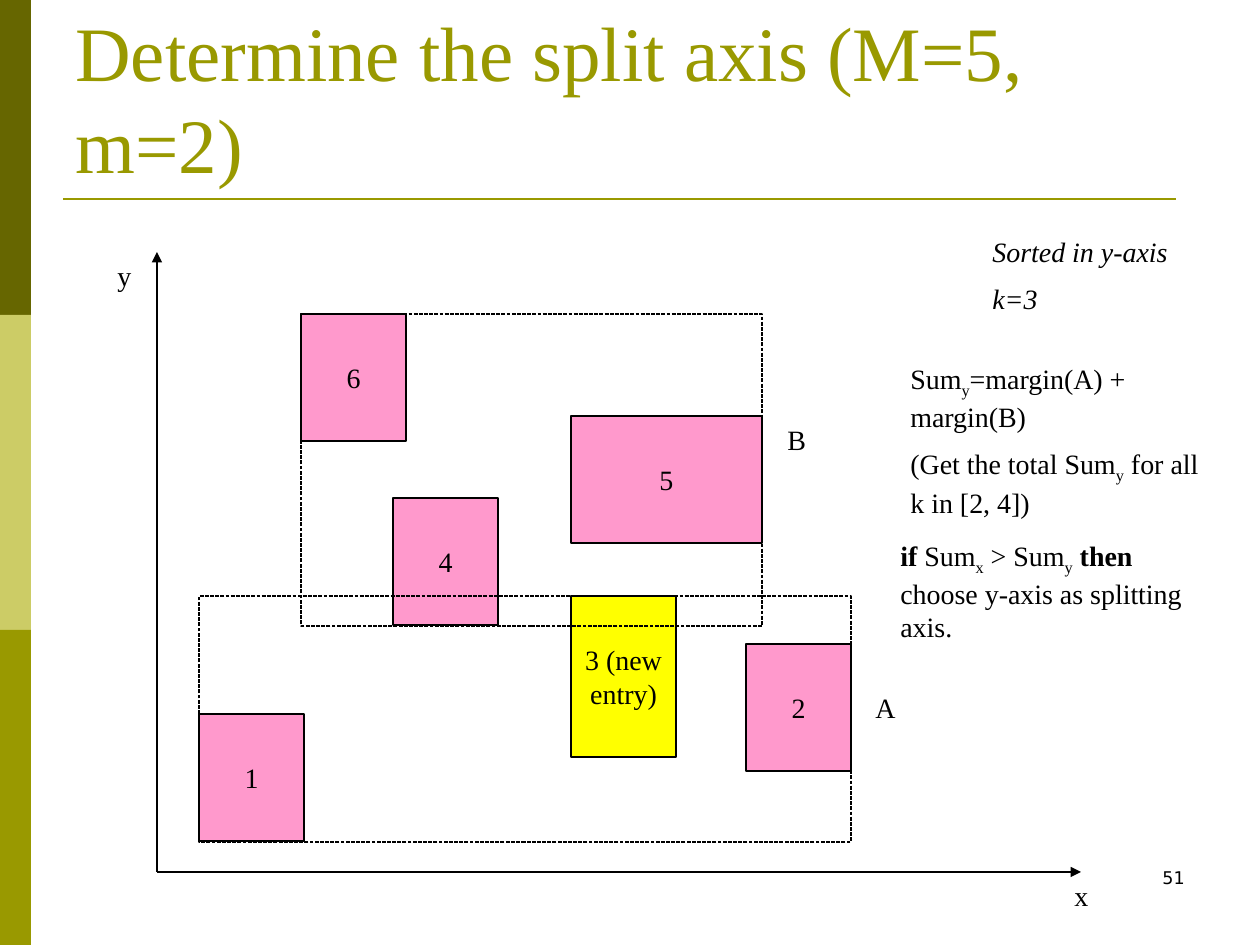
from lxml import etree
from pptx import Presentation
from pptx.dml.color import RGBColor
from pptx.enum.dml import MSO_LINE
from pptx.enum.shapes import MSO_CONNECTOR, MSO_SHAPE
from pptx.enum.text import MSO_ANCHOR, PP_ALIGN
from pptx.oxml.ns import qn
from pptx.util import Pt

EMU_PER_PX = 914400 / 126
RECTANGLE = MSO_SHAPE.RECTANGLE
STRAIGHT = MSO_CONNECTOR.STRAIGHT
DASHED = MSO_LINE.SQUARE_DOT
LEFT, CENTER, RIGHT = PP_ALIGN.LEFT, PP_ALIGN.CENTER, PP_ALIGN.RIGHT
TOP, MIDDLE, BOTTOM = MSO_ANCHOR.TOP, MSO_ANCHOR.MIDDLE, MSO_ANCHOR.BOTTOM

COLORS = {
    "dark olive": "666600", "pale olive": "CCCC66", "olive": "999900",
    "black": "000000", "entry": "FF99CC", "new entry": "FFFF00",
}
BODY = {"name": "Times New Roman", "size": Pt(16)}
TITLE = {"name": "Times New Roman", "size": Pt(44)}
NUMBER = {"name": "DejaVu Sans", "size": Pt(10)}
PLAIN, BOLD, ITALIC, SUBSCRIPT = {}, {"bold": True}, {"italic": True}, {"subscript": True}


def px(*lengths):
    """Turn pixel lengths into EMU."""
    return [round(length * EMU_PER_PX) for length in lengths]


def color(name):
    """Look up a named colour."""
    return RGBColor.from_string(COLORS[name])


def write(shape, paragraphs, font=BODY, ink="black", align=LEFT, anchor=TOP, wrap=True):
    """Fill a shape with paragraphs made of (text, format) runs."""
    frame = shape.text_frame
    frame.word_wrap, frame.vertical_anchor = wrap, anchor
    for index, runs in enumerate(paragraphs):
        paragraph = frame.add_paragraph() if index else frame.paragraphs[0]
        paragraph.alignment = align
        paragraph.space_before = Pt(8 if index else 0)
        for text, style in runs:
            run = paragraph.add_run()
            run.text = text
            run.font.color.rgb = color(ink)
            values = {**font, **style}
            if values.pop("subscript", False):
                run._r.get_or_add_rPr().set("baseline", "-25000")
            for attribute, value in values.items():
                setattr(run.font, attribute, value)


def add_text(slide, box, paragraphs, **options):
    """Add a text box."""
    write(slide.shapes.add_textbox(*px(*box)), paragraphs, **options)


def add_rectangle(slide, box, fill=None, outline=None, dash=None):
    """Add a rectangle with an optional fill and outline."""
    shape = slide.shapes.add_shape(RECTANGLE, *px(*box))
    shape.shadow.inherit = False
    if fill:
        shape.fill.solid()
        shape.fill.fore_color.rgb = color(fill)
    else:
        shape.fill.background()
    if outline:
        shape.line.color.rgb = color(outline)
        shape.line.width = Pt(0.75)
        shape.line.dash_style = dash
    else:
        shape.line.fill.background()
    return shape


def add_line(slide, ends, ink, width, arrow=False):
    """Add a straight line, with an optional arrowhead at its start."""
    connector = slide.shapes.add_connector(STRAIGHT, *px(*ends))
    connector.line.color.rgb = color(ink)
    connector.line.width = Pt(width)
    if arrow:
        etree.SubElement(connector.line._get_or_add_ln(), qn("a:headEnd"), type="triangle")
    etree.SubElement(connector._element.spPr, qn("a:effectLst"))


def add_sidebar(slide, left, top, width, height):
    """Stack three equal colour bands."""
    bands = ("dark olive", "pale olive", "olive")
    band = height // len(bands)
    for index, fill in enumerate(bands):
        add_rectangle(slide, (left, top + index * band, width, band), fill)


def add_title(slide, left, top, width, height):
    """Place the title above its rule."""
    rule = top + height + 4
    add_line(slide, (left, rule, left + 1113, rule), "olive", 1.5)
    add_text(slide, (left, top, width, height), [[("Determine the split axis (M=5, m=2)", PLAIN)]],
             font=TITLE, ink="olive", anchor=BOTTOM)


def add_diagram(slide, left, top, width, height):
    """Plot the entries and their two groups on the x and y axes."""
    origin_x, origin_y = left + 52, top + 620
    add_line(slide, (origin_x, top, origin_x, origin_y), "black", 0.75, True)
    add_line(slide, (left + width, origin_y, origin_x, origin_y), "black", 0.75, True)
    entries = [
        ("1", 94, 462, 105, 127, "entry"),
        ("6", 196, 62, 105, 127, "entry"),
        ("4", 288, 246, 105, 127, "entry"),
        ("5", 466, 164, 191, 127, "entry"),
        ("3 (new entry)", 466, 344, 105, 161, "new entry"),
        ("2", 641, 392, 105, 127, "entry"),
    ]
    for text, x, y, entry_width, entry_height, fill in entries:
        box = (left + x, top + y, entry_width, entry_height)
        entry = add_rectangle(slide, box, fill, "black")
        write(entry, [[(text, PLAIN)]], align=CENTER, anchor=MIDDLE)
    for x, y, group_width, group_height in [(94, 344, 652, 246), (196, 62, 461, 312)]:
        box = (left + x, top + y, group_width, group_height)
        add_rectangle(slide, box, outline="black", dash=DASHED)
    for text, x, y in [("x", 957, 620), ("y", 0, 0), ("A", 758, 432), ("B", 670, 164)]:
        add_text(slide, (left + x, top + y, 45, height - 620), [[(text, PLAIN)]], wrap=False)


def add_notes_column(slide, left, top, width):
    """Place the sort order, the margin sums and the choice rule."""
    add_text(slide, (left + 92, top, 203, 97),
             [[("Sorted in y-axis", ITALIC)], [("k=3", ITALIC)]], wrap=False)
    add_text(slide, (left + 10, top + 127, width, 165), [
        [("Sum", PLAIN), ("y", SUBSCRIPT), ("=margin(A) + margin(B)", PLAIN)],
        [("(Get the total Sum", PLAIN), ("y", SUBSCRIPT), (" for all k in [2, 4])", PLAIN)],
    ])
    add_text(slide, (left, top + 304, width, 115), [[
        ("if ", BOLD), ("Sum", PLAIN), ("x", SUBSCRIPT), (" > Sum", PLAIN), ("y", SUBSCRIPT),
        (" then", BOLD), (" choose y-axis as splitting axis.", PLAIN),
    ]])


def main():
    """Build and save the slide."""
    presentation = Presentation()
    presentation.slide_width, presentation.slide_height = px(1260, 945)
    slide = presentation.slides.add_slide(presentation.slide_layouts[6])
    add_sidebar(slide, 0, 0, 31, 945)
    add_title(slide, 63, 38, 1134, 157)
    add_text(slide, (903, 861, 294, 63), [[("51", PLAIN)]], font=NUMBER, align=RIGHT)
    add_diagram(slide, 105, 252, 976, 667)
    add_notes_column(slide, 888, 228, 325)
    presentation.save("out.pptx")


if __name__ == "__main__":
    main()
